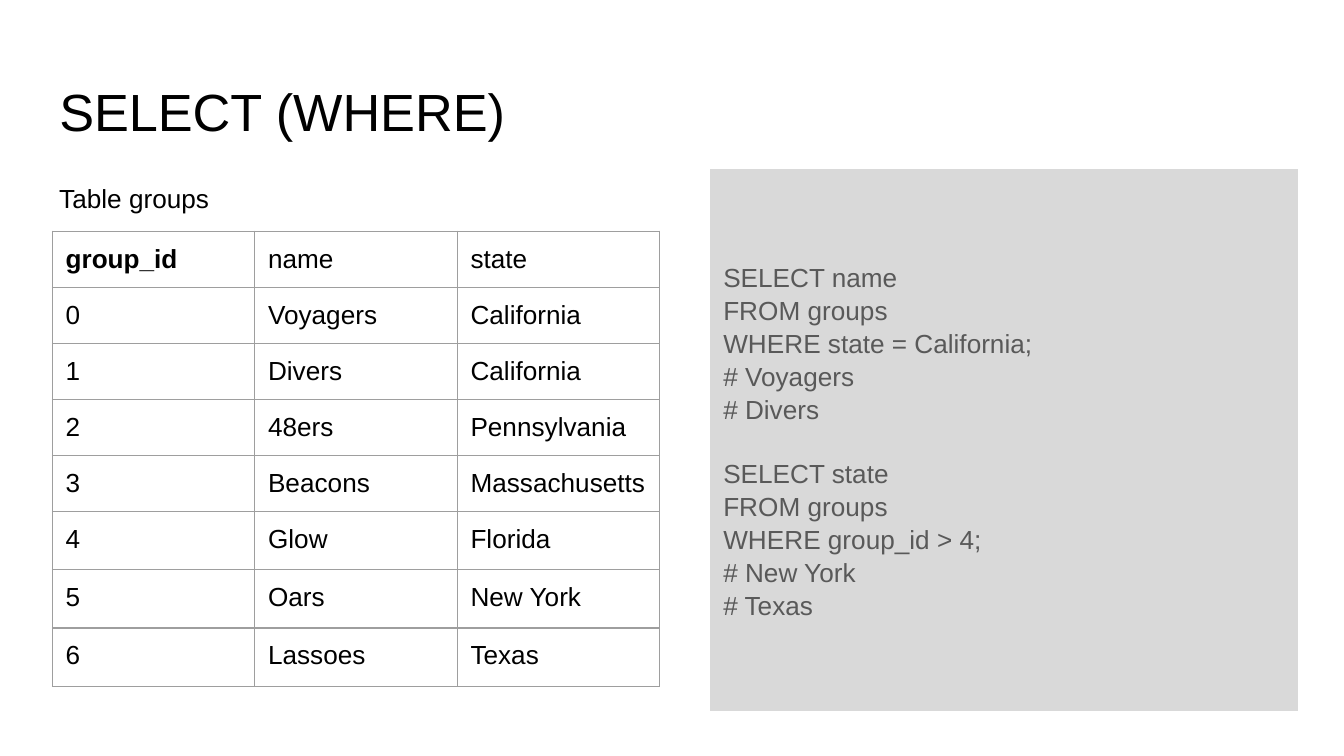
from pptx import Presentation
from pptx.dml.color import RGBColor
from pptx.enum.shapes import MSO_SHAPE
from pptx.enum.text import MSO_ANCHOR, PP_ALIGN
from pptx.oxml import parse_xml
from pptx.oxml.ns import nsdecls
from pptx.util import Cm, Pt

RECT = MSO_SHAPE.RECTANGLE
TOP, MIDDLE = MSO_ANCHOR.TOP, MSO_ANCHOR.MIDDLE
LEFT = PP_ALIGN.LEFT

# Content
TITLE = "SELECT (WHERE)"
LABEL = "Table groups"
ROWS = [
    ("group_id", "name", "state"),
    ("0", "Voyagers", "California"),
    ("1", "Divers", "California"),
    ("2", "48ers", "Pennsylvania"),
    ("3", "Beacons", "Massachusetts"),
    ("4", "Glow", "Florida"),
    ("5", "Oars", "New York"),
    ("6", "Lassoes", "Texas"),
]
QUERIES = [
    ["SELECT name", "FROM groups", "WHERE state = California;",
     "# Voyagers", "# Divers"],
    ["SELECT state", "FROM groups", "WHERE group_id > 4;",
     "# New York", "# Texas"],
]
COLORS = {"text": "000000", "code": "595959", "panel": "D9D9D9",
          "border": "9E9E9E"}
FONT = "Arial"
PAD = Cm(0.25)


def color(name):
    return RGBColor.from_string(COLORS[name])


def style(par, size, name, bold=False):
    par.alignment = LEFT
    font = par.font
    font.name, font.size, font.bold = FONT, Pt(size), bold
    font.color.rgb = color(name)


def inset(box, anchor):
    box.margin_left = box.margin_right = PAD
    box.margin_top = box.margin_bottom = PAD
    box.vertical_anchor = anchor


def place(shape, left, top, width, height):
    shape.left, shape.top = Cm(left), Cm(top)
    shape.width, shape.height = Cm(width), Cm(height)


def outline(cell):
    props = cell._tc.get_or_add_tcPr()
    for i, side in enumerate(("lnL", "lnR", "lnT", "lnB")):
        props.insert(i, parse_xml(
            f'<a:{side} {nsdecls("a")} w="{Pt(0.75)}"><a:solidFill>'
            f'<a:srgbClr val="{COLORS["border"]}"/></a:solidFill></a:{side}>'))


deck = Presentation()
deck.slide_width, deck.slide_height = Cm(25.4), Cm(14.29)
slide = deck.slides.add_slide(deck.slide_layouts[5])
shapes = slide.shapes

# Title
title = shapes.title
place(title, 0.87, 1.24, 23.67, 1.6)
title.text_frame.text = TITLE
inset(title.text_frame, TOP)
style(title.text_frame.paragraphs[0], 28, "text")

# Query panel
panel = shapes.add_shape(RECT, Cm(13.42), Cm(3.2), Cm(11.11), Cm(10.24))
panel.shadow.inherit = False
panel.fill.solid()
panel.fill.fore_color.rgb = color("panel")
panel.line.fill.background()
frame = panel.text_frame
frame.word_wrap = True
inset(frame, MIDDLE)
frame.text = "\n".join(line for query in QUERIES for line in query)
for par in frame.paragraphs:
    style(par, 14, "code")
    par.line_spacing = 1.05
frame.paragraphs[len(QUERIES[0])].space_before = Pt(16.8)

# Table
grid = shapes.add_table(len(ROWS), len(ROWS[0]), Cm(0.99), Cm(4.37),
                        Cm(11.48), Cm(8.62)).table
for i, row in enumerate(ROWS):
    grid.rows[i].height = Cm(1.06 if i < 5 else 1.1)
    for j, text in enumerate(row):
        cell = grid.cell(i, j)
        cell.text = text
        cell.fill.background()
        inset(cell, TOP)
        outline(cell)
        style(cell.text_frame.paragraphs[0], 14, "text", i == j == 0)

# Table label
label = shapes.add_textbox(Cm(0.87), Cm(3.2), Cm(3.73), Cm(1.09))
label.text_frame.word_wrap = True
label.text_frame.text = LABEL
inset(label.text_frame, TOP)
style(label.text_frame.paragraphs[0], 14, "text")

deck.save("out.pptx")
